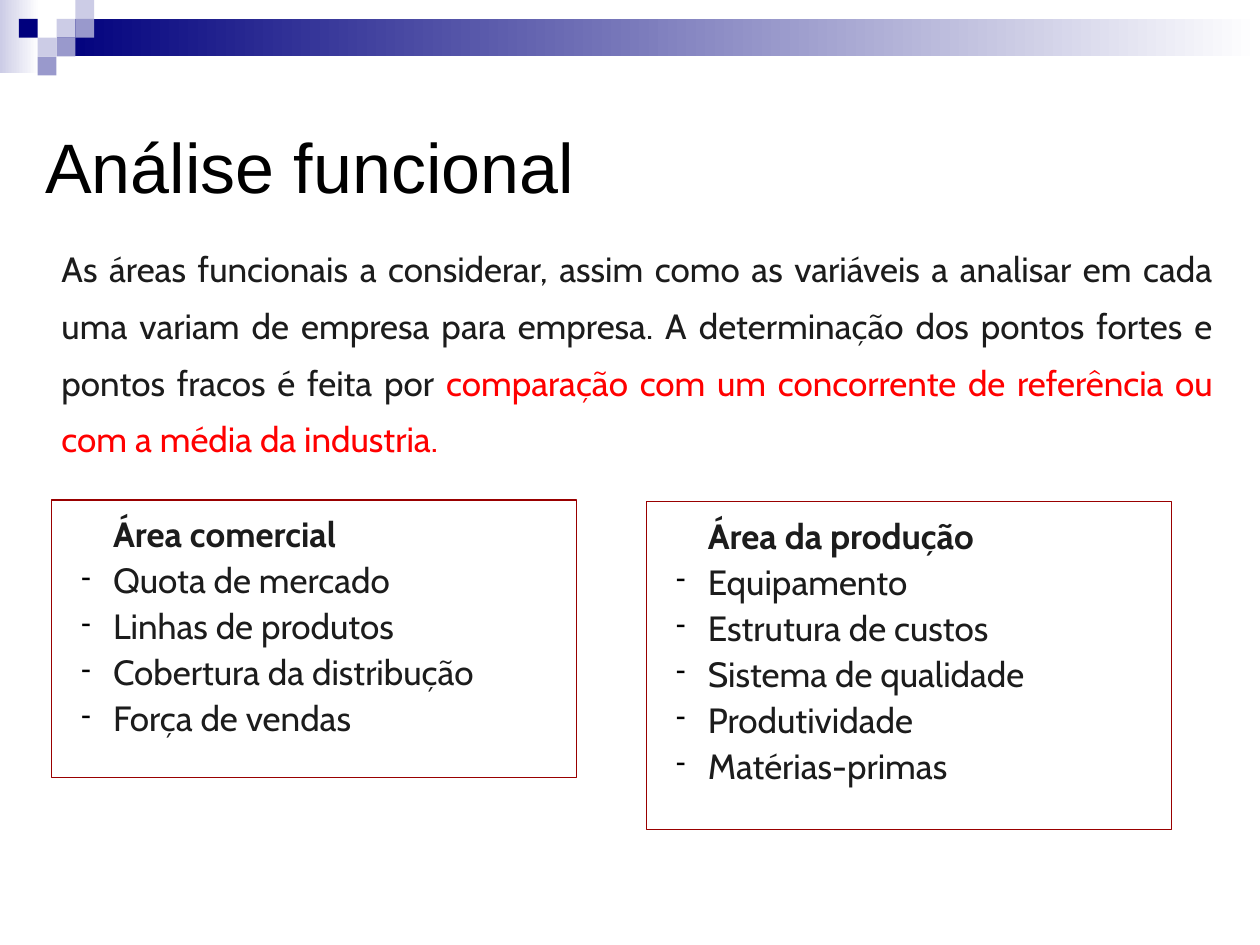
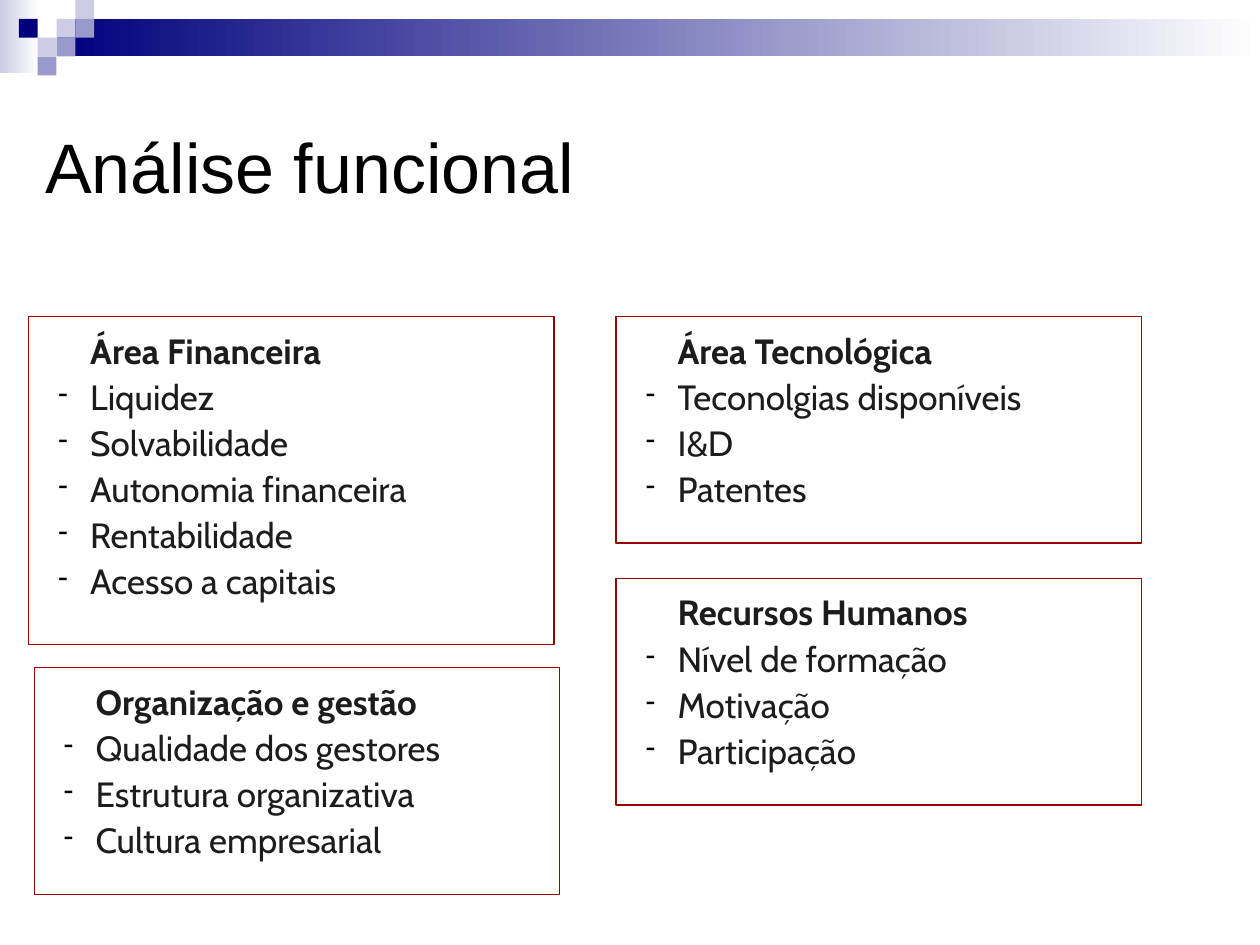
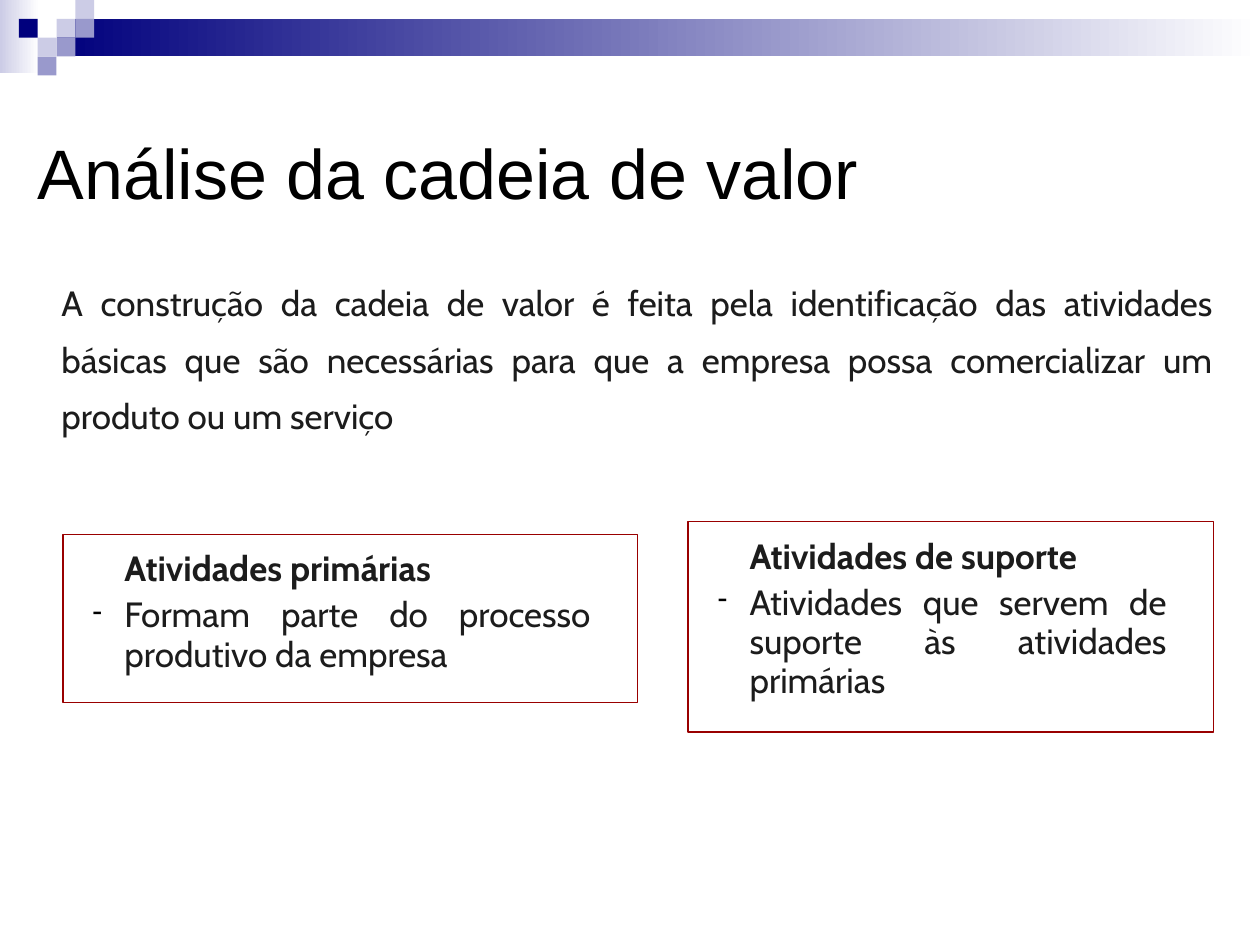
"""Build three slides on functional analysis and the value chain."""
import pptx
import pptx.dml.color
import pptx.enum.shapes
import pptx.enum.text
import pptx.oxml.ns
import pptx.util
from lxml import etree

Cm = pptx.util.Cm
Pt = pptx.util.Pt

HUES = {
    "navy": "00007D", "mid": "9999CC", "pale": "CCCCE6", "white": "FFFFFF",
    "black": "000000", "ink": "1C1C1C", "red": "FF0000", "edge": "990000",
}
STEP = 0.38
TILES = [
    (3, 1, "pale"), (4, 0, "pale"), (4, 1, "mid"), (2, 2, "pale"),
    (1, 1, "navy"), (3, 2, "mid"), (2, 3, "mid"),
]


def tint(name):
    return pptx.dml.color.RGBColor.from_string(HUES[name])


def write(para, text, font="Cabin", size=20, hue="ink", bold=False):
    run = para.add_run()
    run.text = text
    run.font.name = font
    run.font.size = Pt(size)
    run.font.bold = bold
    run.font.color.rgb = tint(hue)


class Deck:
    def __init__(self):
        self.show = pptx.Presentation()
        self.show.slide_width = Cm(25.4)
        self.show.slide_height = Cm(19.05)
        self.slide = None

    def page(self, title, left=0.66, top=2.51, wide=23.04):
        self.slide = self.show.slides.add_slide(self.show.slide_layouts[6])
        self.fade(0, 0, 0.79, 1.47, "pale")
        self.fade(3 * STEP, STEP, 25.4 - 3 * STEP, 2 * STEP, "navy")
        for col, row, hue in TILES:
            tile = self.rect(col * STEP, row * STEP, STEP, STEP)
            tile.fill.solid()
            tile.fill.fore_color.rgb = tint(hue)
        box = self.slide.shapes.add_textbox(Cm(left), Cm(top), Cm(wide), Cm(1.98))
        box.text_frame.word_wrap = True
        para = box.text_frame.paragraphs[0]
        para.line_spacing = 0.93
        write(para, title, font="Arial", size=40, hue="black")

    def rect(self, left, top, wide, tall):
        kind = pptx.enum.shapes.MSO_SHAPE.RECTANGLE
        shape = self.slide.shapes.add_shape(kind, Cm(left), Cm(top), Cm(wide), Cm(tall))
        shape.shadow.inherit = False
        shape.line.fill.background()
        return shape

    def fade(self, left, top, wide, tall, hue):
        fill = self.rect(left, top, wide, tall).fill
        fill.gradient()
        fill.gradient_angle = 180
        for stop, name in zip(fill.gradient_stops, ("white", hue)):
            stop.color.rgb = tint(name)

    def frame(self, shape):
        frame = shape.text_frame
        frame.word_wrap = True
        frame.vertical_anchor = pptx.enum.text.MSO_ANCHOR.TOP
        frame.margin_left = Cm(0.25)
        frame.margin_right = Cm(0.94)
        frame.margin_top = frame.margin_bottom = Cm(0.33)
        return frame

    def dent(self, para, space, dash=False):
        para.alignment = pptx.enum.text.PP_ALIGN.JUSTIFY
        para.line_spacing = space
        props = para._p.get_or_add_pPr()
        props.set("marL", str(Cm(0.99)))
        props.set("indent", str(Cm(-0.64 if dash else 0)))
        if dash:
            para.space_before = Pt(4)
            name = pptx.oxml.ns.qn
            color = etree.SubElement(props, name("a:buClr"))
            etree.SubElement(color, name("a:srgbClr"), val=HUES["black"])
            etree.SubElement(props, name("a:buSzPct"), val="80000")
            etree.SubElement(props, name("a:buChar"), char="-")

    def prose(self, top, tall, text, key=""):
        box = self.slide.shapes.add_textbox(0, Cm(top), Cm(25.4), Cm(tall))
        para = self.frame(box).paragraphs[0]
        self.dent(para, 1.35)
        write(para, text)
        if key:
            write(para, key, hue="red")

    def card(self, left, top, head, items, wide=10.59, tall=None):
        tall = tall or 0.49 + 1.02 * (len(items) + 1)
        shape = self.rect(left, top, wide, tall)
        shape.fill.background()
        shape.line.color.rgb = tint("edge")
        shape.line.width = Pt(0.75)
        frame = self.frame(shape)
        para = frame.paragraphs[0]
        self.dent(para, 0.93)
        write(para, head, bold=True)
        for item in items:
            para = frame.add_paragraph()
            self.dent(para, 0.93, dash=True)
            write(para, item)


def main():
    deck = Deck()

    deck.page("Análise funcional")
    deck.prose(
        4.37, 5.23,
        "As áreas funcionais a considerar, assim como as variáveis a analisar em cada "
        "uma variam de empresa para empresa. A determinação dos pontos fortes e "
        "pontos fracos é feita por ",
        "comparação com um concorrente de referência ou com a média da industria.")
    deck.card(1.04, 10.08, "Área comercial", [
        "Quota de mercado", "Linhas de produtos", "Cobertura da distribução",
        "Força de vendas"])
    deck.card(13.03, 10.11, "Área da produção", [
        "Equipamento", "Estrutura de custos", "Sistema de qualidade",
        "Produtividade", "Matérias-primas"])

    deck.page("Análise funcional", wide=21.44)
    deck.card(0.58, 6.38, "Área Financeira", [
        "Liquidez", "Solvabilidade", "Autonomia financeira", "Rentabilidade",
        "Acesso a capitais"])
    deck.card(12.42, 6.38, "Área Tecnológica", [
        "Teconolgias disponíveis", "I&D", "Patentes"])
    deck.card(12.42, 11.66, "Recursos Humanos", [
        "Nível de formação", "Motivação", "Participação"])
    deck.card(0.69, 13.46, "Organização e gestão", [
        "Qualidade dos gestores", "Estrutura organizativa", "Cultura empresarial"])

    deck.page("Análise da cadeia de valor", left=0.51, top=2.64, wide=24.89)
    deck.prose(
        5.05, 4.14,
        "A construção da cadeia de valor é feita pela identificação das atividades "
        "básicas que são necessárias para que a empresa possa comercializar um "
        "produto ou um serviço")
    deck.card(1.27, 10.77, "Atividades primárias", [
        "Formam parte do processo produtivo da empresa"], wide=11.58, tall=3.4)
    deck.card(13.87, 10.52, "Atividades de suporte", [
        "Atividades que servem de suporte às atividades primárias"], tall=4.24)

    deck.show.save("out.pptx")


if __name__ == "__main__":
    main()
